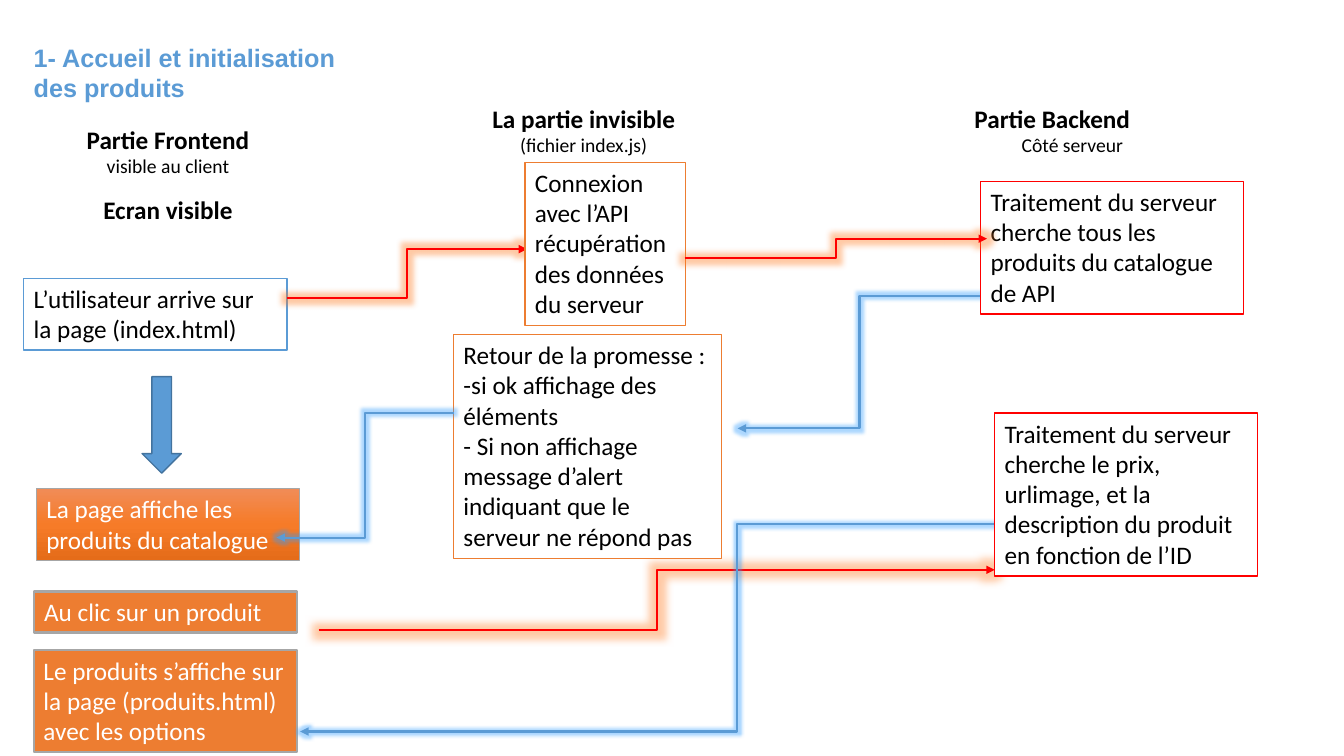
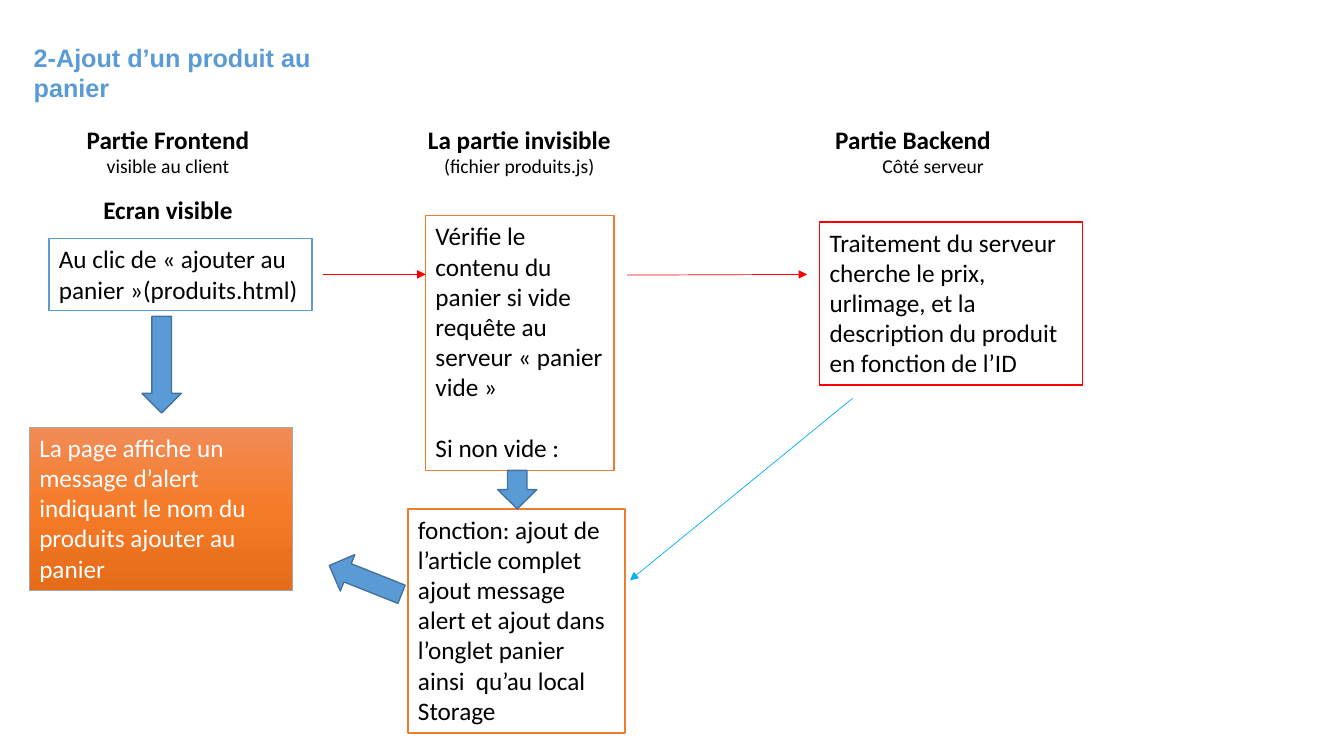
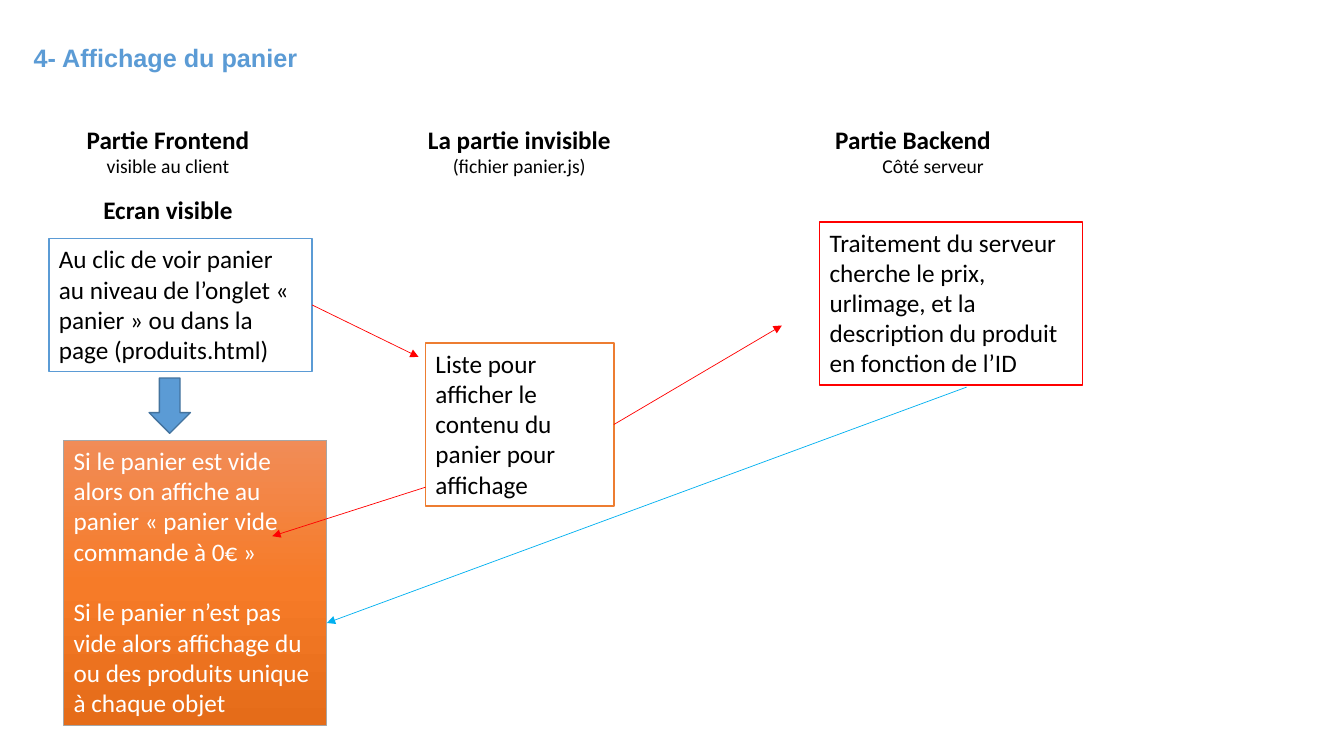
from copy import deepcopy

from lxml import etree
from pptx import Presentation
from pptx.dml.color import RGBColor
from pptx.enum.shapes import MSO_CONNECTOR, MSO_SHAPE
from pptx.enum.text import MSO_ANCHOR, MSO_AUTO_SIZE, PP_ALIGN
from pptx.oxml.ns import qn
from pptx.util import Pt

RECT, DOWN = MSO_SHAPE.RECTANGLE, MSO_SHAPE.DOWN_ARROW
ELBOW, STRAIGHT = MSO_CONNECTOR.ELBOW, MSO_CONNECTOR.STRAIGHT
LEFT, CENTER = PP_ALIGN.LEFT, PP_ALIGN.CENTER
TOP, GROW = MSO_ANCHOR.TOP, MSO_AUTO_SIZE.SHAPE_TO_FIT_TEXT

BLACK = RGBColor(0x00, 0x00, 0x00)
WHITE = RGBColor(0xFF, 0xFF, 0xFF)
BLUE = RGBColor(0x5B, 0x9B, 0xD5)
NAVY = RGBColor(0x43, 0x73, 0x9E)
SKY = RGBColor(0x00, 0xB0, 0xF0)
RED = RGBColor(0xFF, 0x00, 0x00)
ORANGE = RGBColor(0xED, 0x7D, 0x31)
GRAY = RGBColor(0xA6, 0xA6, 0xA6)
BLEND = [(0, RGBColor(0xF1, 0x8C, 0x57)), (0.5, RGBColor(0xF6, 0x7B, 0x28)),
         (1, RGBColor(0xE5, 0x6C, 0x19))]

LINE = 21.8   # height of one line of body text
PAD = 7.5     # room above and below the text of a box
WIDE = 188    # usual box width

# Box styles: fill, outline, outline width, text colour
STYLES = {
    "client": (WHITE, BLUE, 1, BLACK),
    "script": (WHITE, ORANGE, 1, BLACK),
    "server": (WHITE, RED, 1, BLACK),
    "screen": (BLEND, GRAY, 0.5, WHITE),
    "action": (ORANGE, GRAY, 1.5, WHITE),
}

PRICE = ("Traitement du serveur cherche le prix, urlimage, et la "
         "description du produit en fonction de l’ID")

# Parts run from back to front:
#   box:  style, left, top, width, lines, paragraphs
#   down: left, top, width, height, turn
#   bent: from, to, colour, glow colour, glow radius
#   line: from, to, colour, (index of the box it leaves, side)
SLIDES = [
    {"title": "1- Accueil et initialisation des produits", "lines": 2,
     "file": "index.js", "script": (341, 70), "server": (685, 70),
     "parts": [
         ("box", "client", 17, 199, WIDE, 2,
          ["L’utilisateur arrive sur la page (index.html)"]),
         ("down", 101.5, 269, 28, 69, 0),
         ("box", "screen", 26, 349, WIDE, 2,
          ["La page affiche les produits du catalogue"]),
         ("box", "action", 24.5, 422.5, WIDE, 1, ["Au clic sur un produit"]),
         ("bent", (227.5, 450), (710.5, 407), RED, ORANGE, 11),
         ("bent", (701, 211.5), (527, 306), BLUE, BLUE, 5),
         ("box", "action", 24, 464.5, WIDE, 3,
          ["Le produits s’affiche sur la page (produits.html) avec les options"]),
         ("bent", (205, 213), (376.5, 178), RED, ORANGE, 8),
         ("bent", (838, 374.5), (214.5, 522.5), BLUE, BLUE, 5),
         ("box", "server", 700.5, 129.5, WIDE, 4,
          ["Traitement du serveur cherche tous les produits du catalogue de API"]),
         ("box", "server", 710.5, 295, WIDE, 5, [PRICE]),
         ("box", "script", 375, 116, 114.5, 5,
          ["Connexion avec l’API récupération des données du serveur"]),
         ("box", "script", 324, 239, 191.5, 7,
          ["Retour de la promesse :", "-si ok affichage des éléments",
           "- Si non affichage message d’alert indiquant que le serveur "
           "ne répond pas"]),
         ("bent", (489, 184.5), (705, 170.5), RED, ORANGE, 8),
         ("bent", (324, 295), (197.5, 384), BLUE, BLUE, 5),
     ]},
    {"title": "2-Ajout d’un produit au panier", "lines": 2,
     "file": "produits.js", "script": (295, 85), "server": (585.5, 85),
     "parts": [
         ("box", "client", 35, 170.5, WIDE, 2,
          ["Au clic de « ajouter au panier »(produits.html)"]),
         ("down", 101.5, 226, 28, 69, 0),
         ("box", "screen", 21, 305, WIDE, 5,
          ["La page affiche un message d’alert indiquant le nom du produits "
           "ajouter au panier"]),
         ("box", "server", 585.5, 158.5, WIDE, 5, [PRICE]),
         ("box", "script", 304, 154, 134.5, 8,
          ["Vérifie le contenu du panier si vide requête au serveur "
           "« panier vide »", "Si non vide :"]),
         ("box", "script", 291.5, 363.5, 155, 7,
          ["fonction: ajout de l’article complet ajout message alert et ajout "
           "dans l’onglet panier ainsi  qu’au local Storage"]),
         ("down", 355.5, 336, 28, 27.5, 0),
         ("line", (230.5, 196), (304, 196), RED, None),
         ("down", 247, 386.5, 28, 55.5, 111.7),
         ("line", (448, 196.5), (576.5, 196), RED, None),
         ("line", (609, 284.5), (450, 414.5), SKY, None),
     ]},
    {"title": "4- Affichage du panier", "lines": 1,
     "file": "panier.js", "script": (295, 85), "server": (585.5, 85),
     "parts": [
         ("box", "client", 35, 170.5, WIDE, 4,
          ["Au clic de voir panier au niveau de l’onglet « panier »  ou dans "
           "la page (produits.html)".replace("»  ou", "» ou")]),
         ("box", "screen", 45.5, 314.5, WIDE, 9,
          ["Si le panier est vide alors on affiche au panier « panier vide "
           "commande à 0€ »",
           "Si le panier n’est pas vide alors affichage du ou des produits "
           "unique à chaque objet"]),
         ("box", "server", 585.5, 158.5, WIDE, 5, [PRICE]),
         ("box", "script", 304, 245, 134.5, 5,
          ["Liste pour afficher le contenu du panier pour affichage"]),
         ("line", (223, 218), (299, 255), RED, (0, 3)),
         ("line", (304, 348), (194.5, 383), RED, None),
         ("line", (690.5, 276.5), (233.5, 445), SKY, None),
         ("down", 106.5, 270, 29.5, 39.5, 0),
         ("line", (438.5, 303), (558.5, 232.5), RED, (3, 3)),
     ]},
]
# Second paragraphs that stand one line apart from the first
APART = {"Si non vide :", SLIDES[2]["parts"][1][6][1]}


def points(*sizes):
    return [Pt(size) for size in sizes]


def write(frame, texts, color, size=18, font="Calibri", bold=False, align=LEFT):
    """Fill a frame with one paragraph per text and return the paragraphs."""
    frame.word_wrap = True
    frame.auto_size = GROW
    frame.vertical_anchor = TOP
    for i, text in enumerate(texts):
        para = frame.paragraphs[0] if i == 0 else frame.add_paragraph()
        para.text = text
        para.alignment = align
        para.font.size, para.font.name = Pt(size), font
        para.font.bold = bold
        para.font.color.rgb = color
        if text in APART:
            para.space_before = Pt(LINE)
    return frame.paragraphs


def label(slide, x, y, w, h, texts, color=BLACK, font="Calibri", align=CENTER):
    frame = slide.shapes.add_textbox(*points(x, y, w, h)).text_frame
    return write(frame, texts, color, font=font, bold=True, align=align)


def heading(slide, x, y, w, name, note, indent=None):
    """Column name with a smaller note; an indent sets the name to the left."""
    top, sub = label(slide, x, y, w, 46, [name, note])
    sub.font.size, sub.font.bold = Pt(14), False
    if indent is not None:
        top.alignment = LEFT
        top._p.get_or_add_pPr().set("marL", str(Pt(indent)))


def paint(shape, fill, line, width):
    shape.shadow.inherit = False
    if fill is BLEND:
        shape.fill.gradient()
        shape.fill.gradient_angle = 270
        stops = next(shape._element.iter(qn("a:gsLst")))
        stops.insert(1, deepcopy(stops[0]))
        for stop, (place, color) in zip(shape.fill.gradient_stops, BLEND):
            stop.position, stop.color.rgb = place, color
    else:
        shape.fill.solid()
        shape.fill.fore_color.rgb = fill
    shape.line.color.rgb = line
    shape.line.width = Pt(width)


def box(slide, style, x, y, w, lines, texts):
    fill, line, width, color = STYLES[style]
    shape = slide.shapes.add_shape(RECT, *points(x, y, w, PAD + LINE * lines))
    paint(shape, fill, line, width)
    write(shape.text_frame, texts, color)
    return shape


def down(slide, x, y, w, h, turn):
    shape = slide.shapes.add_shape(DOWN, *points(x, y, w, h))
    shape.rotation = turn
    paint(shape, BLUE, NAVY, 1)


def arrow(slide, kind, start, end, color, width):
    """Draw a connector with an arrowhead; return it and its effect list."""
    link = slide.shapes.add_connector(kind, *points(*start, *end))
    link.line.color.rgb = color
    link.line.width = Pt(width)
    props = link._element.spPr
    etree.SubElement(props.find(qn("a:ln")), qn("a:tailEnd"), type="triangle")
    return link, etree.SubElement(props, qn("a:effectLst"))


def bent(slide, start, end, color, halo, radius):
    _, effects = arrow(slide, ELBOW, start, end, color, 1.5)
    glow = etree.SubElement(effects, qn("a:glow"), rad=str(Pt(radius)))
    tint = etree.SubElement(glow, qn("a:srgbClr"), val=str(halo))
    etree.SubElement(tint, qn("a:satMod"), val="175000")
    etree.SubElement(tint, qn("a:alpha"), val="40000")


def build(deck, page):
    slide = deck.slides.add_slide(deck.slide_layouts[6])
    label(slide, 17, 26.5, 237.5, PAD + LINE * page["lines"], [page["title"]],
          BLUE, "Arial", LEFT)
    heading(slide, 39, 85, 162, "Partie Frontend", "visible au client")
    label(slide, 44, 135.5, 152, 29, ["Ecran visible"])
    heading(slide, *page["script"], 152, "La partie invisible",
            f"(fichier {page['file']})")
    heading(slide, *page["server"], 162, "Partie Backend", "Côté serveur", 4)
    boxes = []
    for kind, *part in page["parts"]:
        if kind == "box":
            boxes.append(box(slide, *part))
        elif kind == "down":
            down(slide, *part)
        elif kind == "bent":
            bent(slide, *part)
        else:
            start, end, color, joint = part
            link, _ = arrow(slide, STRAIGHT, start, end, color, 0.5)
            if joint:
                link.begin_connect(boxes[joint[0]], joint[1])


def main():
    deck = Presentation()
    deck.slide_width, deck.slide_height = points(960, 540)
    for page in SLIDES:
        build(deck, page)
    deck.save("out.pptx")


if __name__ == "__main__":
    main()
